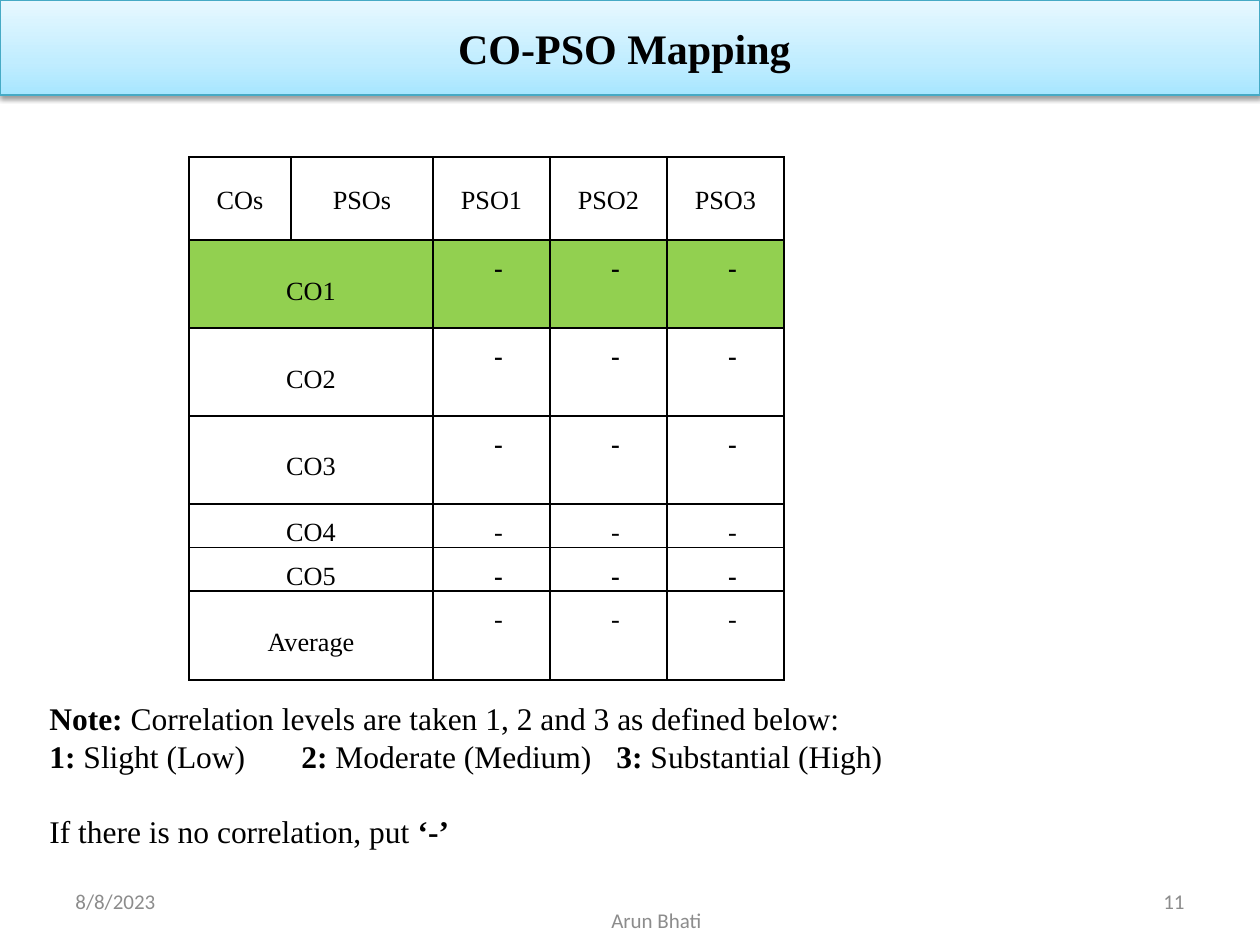
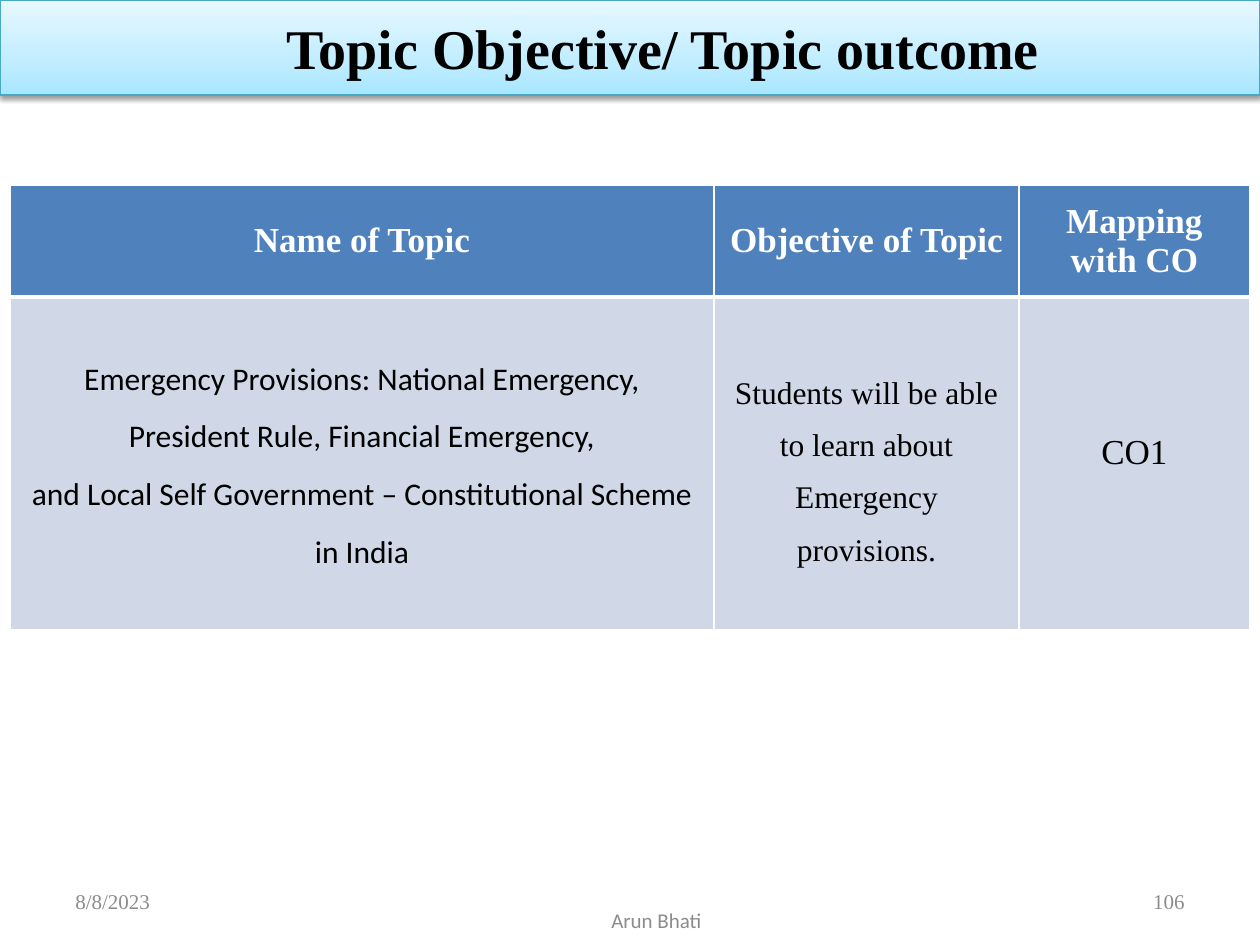
from copy import deepcopy

from lxml import etree
from pptx import Presentation
from pptx import util as u
from pptx.dml.color import RGBColor
from pptx.enum import shapes, text
from pptx.oxml import ns

PX_PER_INCH = 126
SERIF, SANS = "Times New Roman", "Calibri"
COLORS = {
    "ink": "000000", "white": "FFFFFF", "footer": "8C8C8C", "band_line": "46AAC5",
    "highlight": "92D050", "header": "4F81BD", "body": "D0D8E8",
}
BAND_STOPS = [(0, "A7E6FF"), (0.35, "C1EDFF"), (1, "E7F8FF")]
CENTER, LEFT = text.PP_ALIGN.CENTER, text.PP_ALIGN.LEFT
RIGHT, JUSTIFY = text.PP_ALIGN.RIGHT, text.PP_ALIGN.JUSTIFY
TOP, MIDDLE = text.MSO_ANCHOR.TOP, text.MSO_ANCHOR.MIDDLE


def px(length):
    """Turn whole px into EMU."""
    return u.Emu(round(length * u.Inches(1) / PX_PER_INCH))


def color(name):
    """Look up a named colour."""
    return RGBColor.from_string(COLORS[name])


def add_xml(parent, tag, **attributes):
    """Append a DrawingML element to its parent."""
    return etree.SubElement(parent, ns.qn(tag), {k: str(v) for k, v in attributes.items()})


def style(paragraph, size, font=SERIF, ink="ink", bold=None, align=CENTER, spacing=None):
    """Set the font and layout of a whole paragraph."""
    paragraph.alignment = align
    if spacing:
        paragraph.line_spacing = spacing
    paragraph.font.size = u.Pt(size)
    paragraph.font.name = font
    paragraph.font.bold = bold
    paragraph.font.color.rgb = color(ink)


def add_title(slide, title, size, margins):
    """Draw the shaded title band across the top."""
    band = slide.shapes.add_shape(shapes.MSO_SHAPE.RECTANGLE, 0, 0, px(1260), px(95))
    band.fill.gradient()
    band.fill.gradient_angle = 90
    stop_list = next(band._element.spPr.iter(ns.qn("a:gsLst")))
    stop_list.append(deepcopy(stop_list[0]))
    for stop, (position, shade) in zip(band.fill.gradient_stops, BAND_STOPS):
        stop.position = position
        stop.color.rgb = RGBColor.from_string(shade)
    band.line.color.rgb = color("band_line")
    band.line.width = u.Pt(0.75)
    band.shadow.inherit = False
    effects = band._element.spPr.find(ns.qn("a:effectLst"))
    shadow = add_xml(effects, "a:outerShdw", blurRad=u.Pt(3.1), dist=u.Pt(1.6),
                     dir=5400000, rotWithShape=0)
    shade = add_xml(shadow, "a:srgbClr", val=COLORS["ink"])
    add_xml(shade, "a:alpha", val=38000)
    frame = band.text_frame
    frame.margin_left, frame.margin_right = map(px, margins)
    frame.vertical_anchor = MIDDLE
    frame.text = title
    style(frame.paragraphs[0], size, bold=True)


def add_box(slide, left, top, width, height):
    """Add a wrapping, middle-anchored text box and return its frame."""
    frame = slide.shapes.add_textbox(px(left), px(top), px(width), px(height)).text_frame
    frame.word_wrap = True
    frame.vertical_anchor = MIDDLE
    return frame


def add_footer(slide, number, font):
    """Add date, slide number and author."""
    for words, left, top, width, face, align in [
        ("8/8/2023", 63, 876, 294, font, LEFT),
        (number, 903, 876, 294, font, RIGHT),
        ("Arun Bhati", 252, 895, 809, SANS, CENTER),
    ]:
        frame = add_box(slide, left, top, width, 50)
        frame.text = words
        style(frame.paragraphs[0], 12, face, "footer", align=align)


def add_grid(slide, left, top, widths, heights):
    """Add a plain table with given column widths and row heights."""
    grid = slide.shapes.add_table(len(heights), len(widths), px(left), px(top),
                                  px(sum(widths)), px(sum(heights))).table
    grid.first_row = grid.horz_banding = False
    for column, width in zip(grid.columns, widths):
        column.width = px(width)
    for row, height in zip(grid.rows, heights):
        row.height = px(height)
    return grid


def format_cell(cell, margins, line, fill=None, top_line=1, bottom_line=1, anchor=MIDDLE):
    """Set a cell's borders, fill, margins and anchor."""
    properties = cell._tc.get_or_add_tcPr()
    for side, width in zip("LRTB", (1, 1, top_line, bottom_line)):
        border = add_xml(properties, f"a:ln{side}", w=u.Pt(width))
        add_xml(add_xml(border, "a:solidFill"), "a:srgbClr", val=COLORS[line])
    if fill:
        cell.fill.solid()
        cell.fill.fore_color.rgb = color(fill)
    else:
        cell.fill.background()
    cell.margin_left, cell.margin_top, cell.margin_right, cell.margin_bottom = map(px, margins)
    cell.vertical_anchor = anchor


def add_mapping(slide):
    """Build the grid of course outcomes against programme outcomes."""
    outcomes = ["CO1", "CO2", "CO3", "CO4", "CO5", "Average"]
    bold_dashes = {"CO1", "CO2", "CO3", "CO5"}
    grid = add_grid(slide, 189, 157, [102, 142, 117, 117, 117], [83, 88, 88, 88, 43, 43, 89])
    for cell, heading in zip(grid.rows[0].cells, ["COs", "PSOs", "PSO1", "PSO2", "PSO3"]):
        format_cell(cell, (9, 0, 9, 0), "ink")
        cell.text = heading
        style(cell.text_frame.paragraphs[0], 15, spacing=1.15)
    for row, outcome in enumerate(outcomes, 1):
        fill = "highlight" if outcome == "CO1" else None
        for column, cell in enumerate(grid.rows[row].cells):
            is_level = column > 1
            format_cell(cell, (9, 0, 9, 0), "ink", fill, anchor=TOP if is_level else MIDDLE)
            if column == 1:
                continue
            cell.text = "-" if is_level else outcome
            level = cell.text_frame.paragraphs[0]
            style(level, 15, bold=is_level and outcome in bold_dashes, spacing=1.5)
            if is_level:
                level._p.get_or_add_pPr().set("marL", str(px(14)))
        grid.cell(row, 0).merge(grid.cell(row, 1))


def add_note(slide):
    """Explain the correlation levels, with bold on every other run."""
    frame = add_box(slide, 37, 692, 1208, 165)
    lines = [
        ["Note: ", "Correlation levels are taken 1, 2 and 3 as defined below:"],
        ["1: ", "Slight (Low)", "\t2: ", "Moderate (Medium)", "\t3: ", "Substantial (High)"],
        ["", "If there is no correlation, put", " ‘-’"],
    ]
    for index, parts in enumerate(lines):
        line = frame.paragraphs[0] if index == 0 else frame.add_paragraph()
        style(line, 18, align=JUSTIFY)
        for position, words in enumerate(parts):
            if words:
                run = line.add_run()
                run.text = words
                run.font.bold = position % 2 == 0
    line.space_before = u.Pt(21)


def add_objectives(slide):
    """Build the table of topic, objective and mapped outcome."""
    grid = add_grid(slide, 10, 185, [704, 305, 231], [112, 333])
    headings = ["Name of Topic", "Objective of Topic", "Mapping with CO"]
    details = [
        ("Emergency Provisions: National Emergency, President Rule, Financial Emergency,\n"
         "and Local Self Government – Constitutional Scheme in India", 18, SANS, 1.5, 20),
        ("Students will be able to learn about Emergency provisions.", 18, SERIF, 1.5, 6),
        ("CO1", 20, SERIF, None, 28),
    ]
    for column, (heading, detail) in enumerate(zip(headings, details)):
        top, bottom = grid.cell(0, column), grid.cell(1, column)
        format_cell(top, (13, 6, 13, 6), "white", "header", bottom_line=3)
        top.text = heading
        style(top.text_frame.paragraphs[0], 20, ink="white", bold=True)
        words, size, font, spacing, foot = detail
        format_cell(bottom, (13, 6, 13, foot), "white", "body", top_line=3)
        bottom.text = words
        for paragraph in bottom.text_frame.paragraphs:
            style(paragraph, size, font, spacing=spacing)


def main():
    """Build and save both slides."""
    deck = Presentation()
    deck.slide_width, deck.slide_height = px(1260), px(945)
    blank = deck.slide_layouts[6]

    mapping = deck.slides.add_slide(blank)
    add_title(mapping, "CO-PSO Mapping", 24, (13, 24))
    add_mapping(mapping)
    add_note(mapping)
    add_footer(mapping, "11", SANS)

    objectives = deck.slides.add_slide(blank)
    add_title(objectives, "Topic Objective/ Topic outcome", 32, (79, 13))
    add_objectives(objectives)
    add_footer(objectives, "106", SERIF)

    deck.save("out.pptx")


if __name__ == "__main__":
    main()
